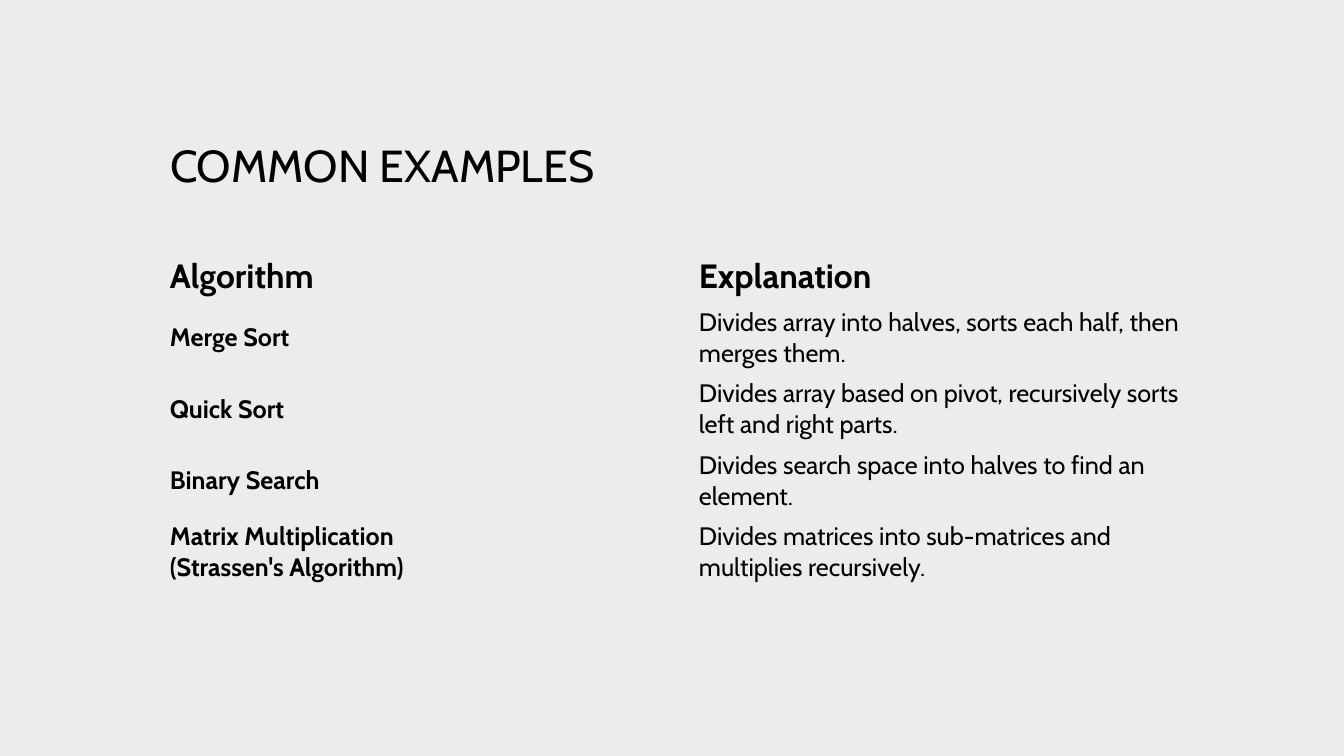
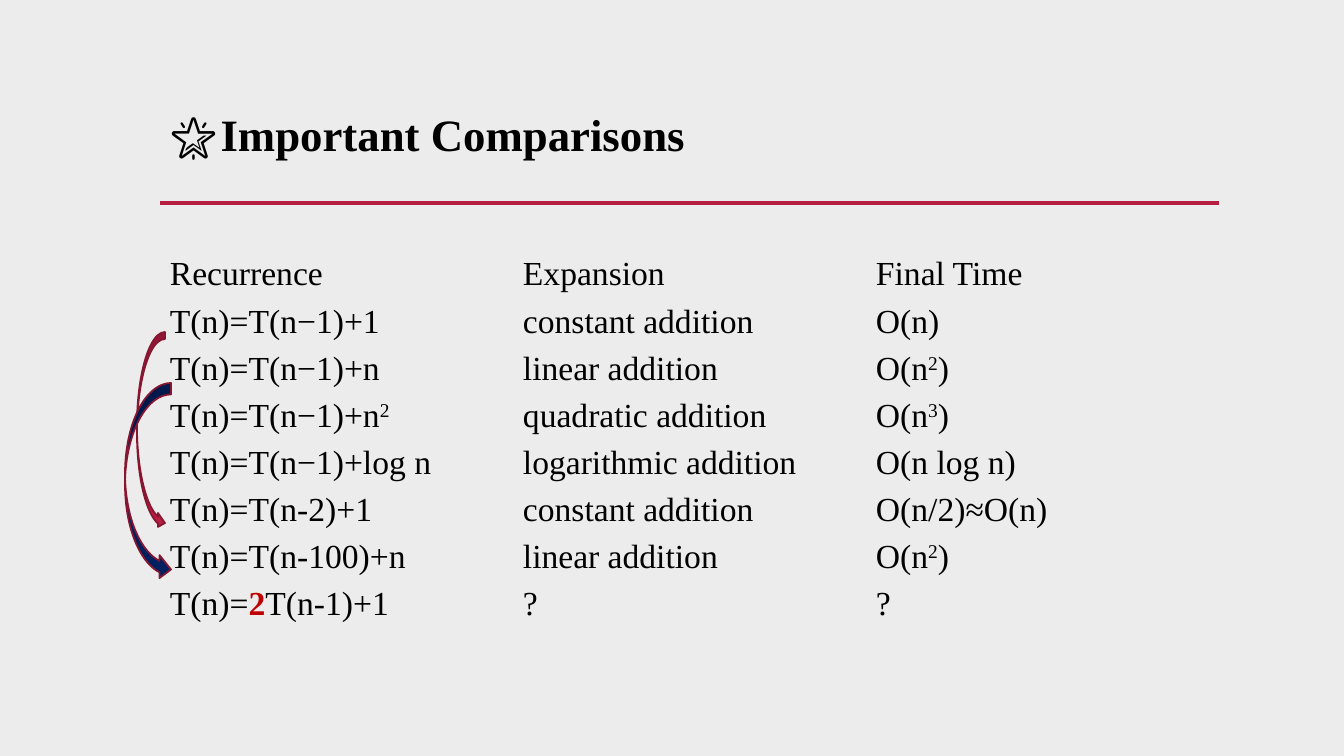
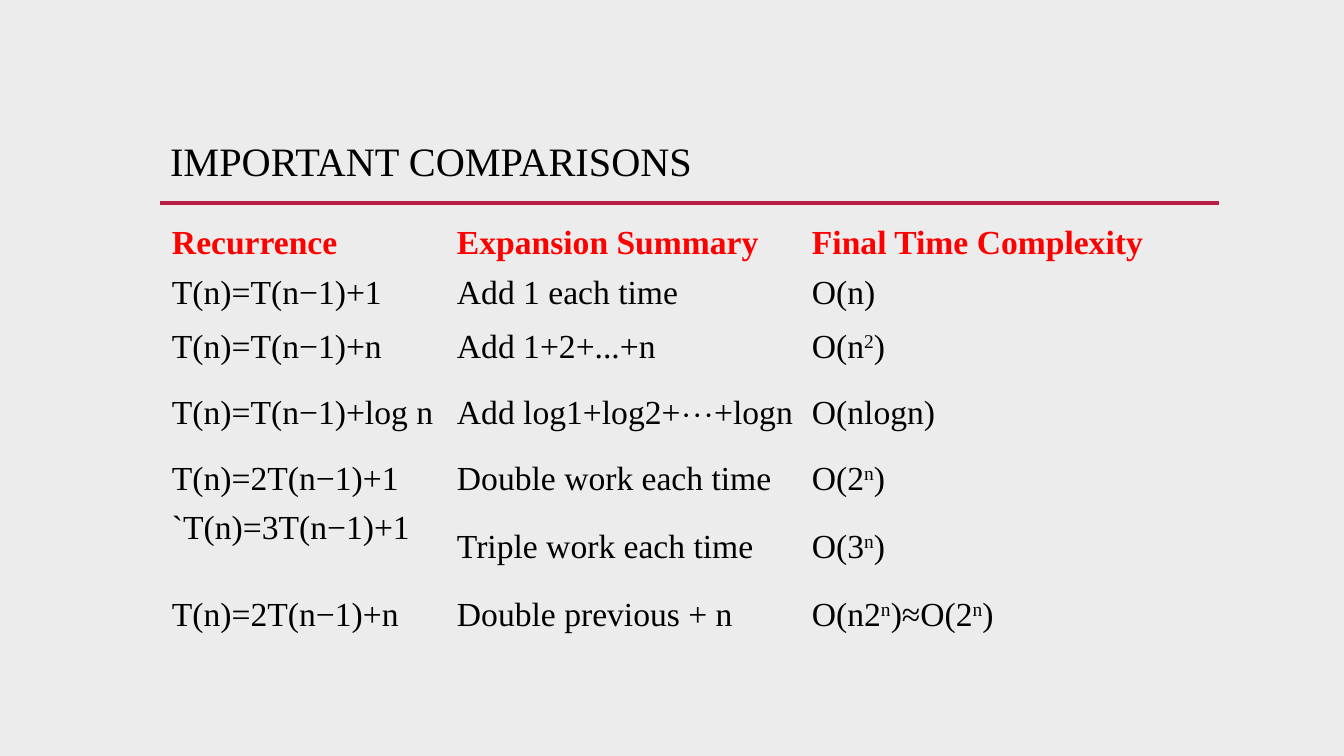
import pptx
import pptx.util
import pptx.dml.color
import pptx.enum.shapes
import pptx.enum.text
import pptx.oxml.ns
import lxml.etree
from dataclasses import dataclass

SCALE = 914400 / 100.8
NO_GRID = "{2D5ABB26-0587-4C30-8999-92F81FD0307C}"
ANCHOR = pptx.enum.text.MSO_ANCHOR
KIND = pptx.enum.shapes.MSO_SHAPE


@dataclass(frozen=True)
class Theme:
    back: str = "ECECEC"
    ink: str = "000000"
    rule: str = "B71E42"
    edge: str = "871631"
    navy: str = "002060"
    red: str = "FF0000"
    mark: str = "C00000"
    sans: str = "Cabin"
    serif: str = "Times New Roman"
    big: float = 32
    mid: float = 28.8
    head: float = 24
    body: float = 18
    gap: float = 10


THEME = Theme()
TITLE = (160, 89, 1058, 116)
GRID = (160, 251, 1058)


def px(num):
    return pptx.util.Emu(round(num * SCALE))


def rgb(code):
    return pptx.dml.color.RGBColor.from_string(code)


def apply(item, **vals):
    for name, val in vals.items():
        setattr(item, name, val)


def add_run(para, text, font, size, color=THEME.ink, bold=False, raised=False):
    run = para.add_run()
    run.text = text
    apply(run.font, name=font, size=pptx.util.Pt(size), bold=bold)
    run.font.color.rgb = rgb(color)
    if raised:
        run._r.get_or_add_rPr().set("baseline", "30000")


def write(para, text, **look):
    """Add runs: ^x^ raises x, *x* marks x bold and red."""
    for i, part in enumerate(text.split("^")):
        for j, bit in enumerate(part.split("*")):
            if bit:
                extra = dict(color=THEME.mark, bold=True) if j % 2 else {}
                add_run(para, bit, raised=i % 2 == 1, **{**look, **extra})


def add_title(slide, box, runs, font, anchor=ANCHOR.TOP, top=5, bottom=5):
    """Place the title; runs holds (text, size, bold) triples."""
    title = slide.shapes.title
    left, y, width, height = map(px, box)
    apply(title, left=left, top=y, width=width, height=height)
    frame = title.text_frame
    apply(frame, word_wrap=True, auto_size=pptx.enum.text.MSO_AUTO_SIZE.NONE,
          vertical_anchor=anchor, margin_left=px(10), margin_right=px(10),
          margin_top=px(top), margin_bottom=px(bottom))
    para = frame.paragraphs[0]
    para.alignment = pptx.enum.text.PP_ALIGN.LEFT
    for text, size, bold in runs:
        add_run(para, text, font, size, bold=bold)


def add_grid(slide, box, cols, heights, rows, look, pad=(10, 5)):
    """Fill a plain table; look(row, col) gives the text format of a cell."""
    left, top, width = box
    size = map(px, (left, top, width, sum(heights)))
    table = slide.shapes.add_table(len(rows), len(cols), *size).table
    apply(table, first_row=False, horz_banding=False)
    style = table._tbl.tblPr.find(pptx.oxml.ns.qn("a:tableStyleId"))
    style.text = NO_GRID
    for col, wide in zip(table.columns, cols):
        col.width = px(wide)
    for row, high in zip(table.rows, heights):
        row.height = px(high)
    side, edge = map(px, pad)
    for r, texts in enumerate(rows):
        for c, text in enumerate(texts):
            cell = table.cell(r, c)
            cell.fill.background()
            apply(cell, vertical_anchor=ANCHOR.MIDDLE, margin_left=side,
                  margin_right=side, margin_top=edge, margin_bottom=edge)
            frame = cell.text_frame
            for n, line in enumerate(text.split("\n")):
                para = frame.add_paragraph() if n else frame.paragraphs[0]
                write(para, line, **look(r, c))
    return table


def add_rule(slide):
    line = slide.shapes.add_connector(
        pptx.enum.shapes.MSO_CONNECTOR.STRAIGHT,
        px(160), px(203), px(1219), px(203))
    line.line.color.rgb = rgb(THEME.rule)
    line.line.width = pptx.util.Pt(2.5)
    lxml.etree.SubElement(line._element.spPr, pptx.oxml.ns.qn("a:effectLst"))


def add_arrow(slide, box, color):
    arrow = slide.shapes.add_shape(KIND.CURVED_RIGHT_ARROW, *map(px, box))
    arrow.shadow.inherit = False
    arrow.fill.solid()
    arrow.fill.fore_color.rgb = rgb(color)
    arrow.line.color.rgb = rgb(THEME.edge)
    arrow.line.width = pptx.util.Pt(1.25)


def examples(slide):
    rows = [
        ("Algorithm", "Explanation"),
        ("Merge Sort",
         "Divides array into halves, sorts each half, then merges them."),
        ("Quick Sort", "Divides array based on pivot, "
         "recursively sorts left and right parts."),
        ("Binary Search",
         "Divides search space into halves to find an element."),
        ("Matrix Multiplication\n(Strassen's Algorithm)",
         "Divides matrices into sub-matrices and multiplies recursively."),
    ]

    def look(row, col):
        return dict(font=THEME.sans, bold=row == 0 or col == 0,
                    size=THEME.body if row else THEME.head)

    add_title(slide, TITLE, [("COMMON EXAMPLES", THEME.big, False)],
              THEME.sans, top=49)
    add_grid(slide, GRID, [529] * 2, [51] + [71] * 4, rows, look)


def compare(slide):
    rows = [
        ("Recurrence", "Expansion", "Final Time"),
        ("T(n)=T(n−1)+1", "constant addition", "O(n)"),
        ("T(n)=T(n−1)+n", "linear addition", "O(n^2^)"),
        ("T(n)=T(n−1)+n^2^", "quadratic addition", "O(n^3^)"),
        ("T(n)=T(n−1)+log n", "logarithmic addition", "O(n log n)"),
        ("T(n)=T(n-2)+1", "constant addition", "O(n/2)≈O(n)"),
        ("T(n)=T(n-100)+n", "linear addition", "O(n^2^)"),
        ("T(n)=*2*T(n-1)+1", "?", "?"),
    ]

    def look(row, col):
        return dict(font=THEME.serif, size=THEME.head)

    add_rule(slide)
    add_grid(slide, GRID, [353] * 3, [47] * len(rows), rows, look)
    add_title(slide, (160, 99, 553, 94),
              [("🌟", THEME.big, True), (" ", THEME.gap, True),
               ("Important Comparisons", THEME.big, True)],
              THEME.serif, ANCHOR.MIDDLE, bottom=30)
    add_arrow(slide, (137, 332, 28, 198), THEME.rule)
    add_arrow(slide, (125, 383, 46, 198), THEME.navy)


def summary(slide):
    rows = [
        ("Recurrence", "Expansion Summary", "Final Time Complexity"),
        ("T(n)=T(n−1)+1", "Add 1 each time", "O(n)"),
        ("T(n)=T(n−1)+n", "Add 1+2+...+n", "O(n^2^)"),
        ("T(n)=T(n−1)+log n", "Add log1+log2+⋯+logn", "O(nlogn)"),
        ("T(n)=2T(n−1)+1", "Double work each time", "O(2^n^)"),
        ("`T(n)=3T(n−1)+1", "Triple work each time", "O(3^n^)"),
        ("T(n)=2T(n−1)+n", "Double previous + n", "O(n2^n^)≈O(2^n^)"),
    ]

    def look(row, col):
        return dict(font=THEME.serif, size=THEME.head, bold=row == 0,
                    color=THEME.ink if row else THEME.red)

    add_rule(slide)
    add_title(slide, TITLE, [("IMPORTANT COMPARISONS", THEME.mid, False)],
              THEME.serif, top=47)
    table = add_grid(slide, (164, 221, 1023), [285, 355, 383],
                     [45, 54, 54, 78, 54, 82, 54], rows, look, pad=(8, 4))
    table.cell(5, 0).vertical_anchor = ANCHOR.TOP


def main():
    deck = pptx.Presentation()
    apply(deck, slide_width=px(1344), slide_height=px(756))
    fill = deck.slide_master.background.fill
    fill.solid()
    fill.fore_color.rgb = rgb(THEME.back)
    for build in (examples, compare, summary):
        build(deck.slides.add_slide(deck.slide_layouts[5]))
    deck.save("out.pptx")


if __name__ == "__main__":
    main()
